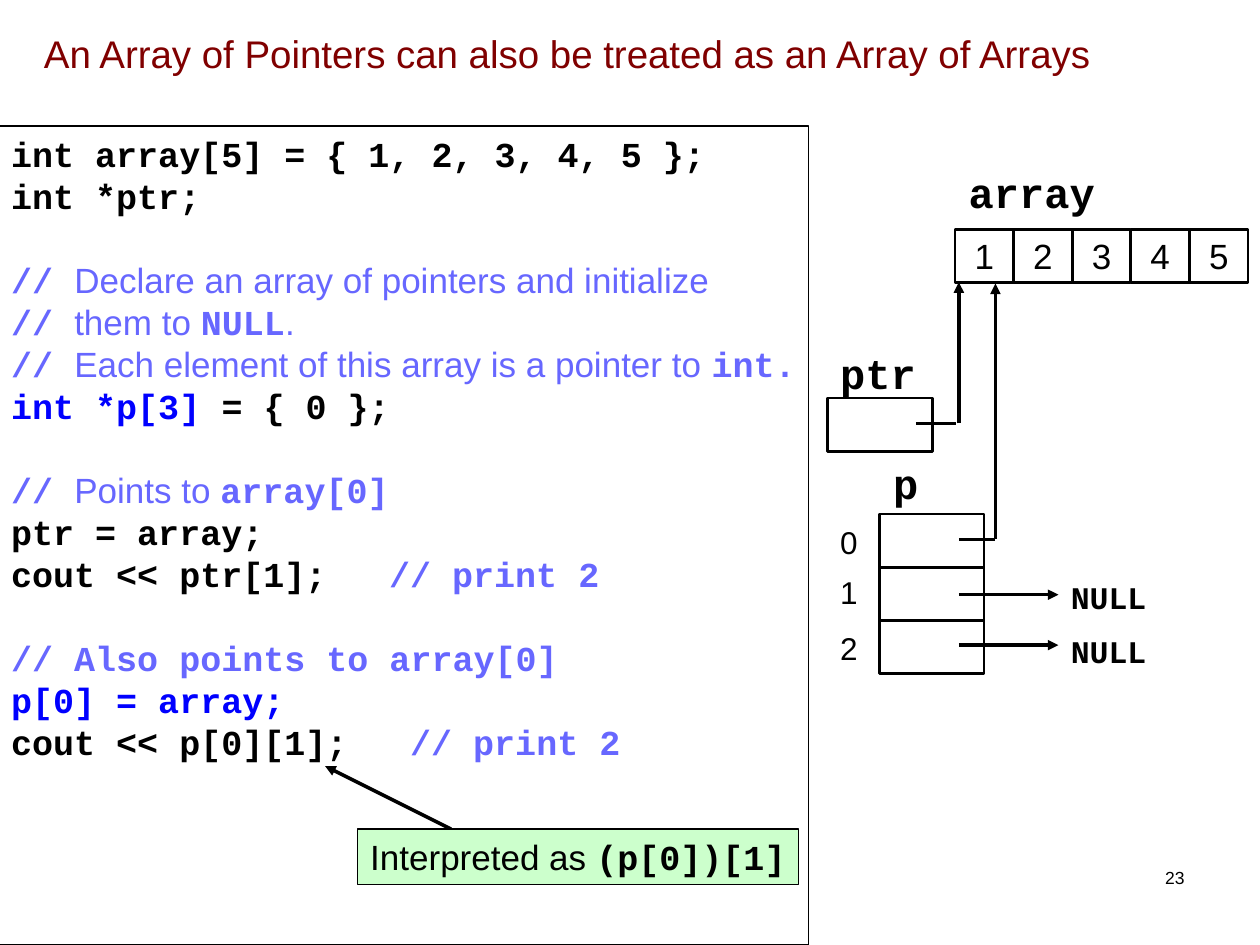
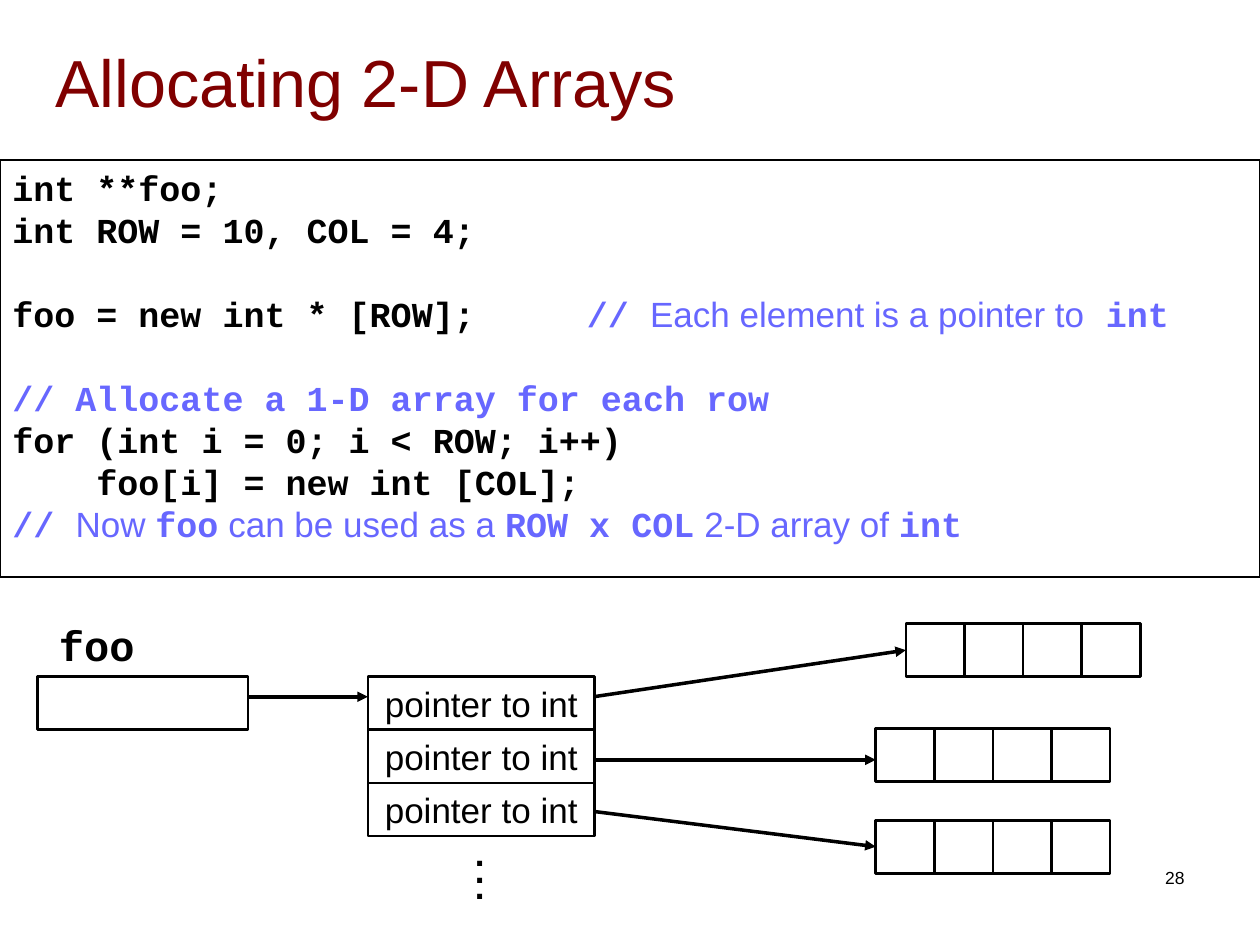
from dataclasses import dataclass
from typing import Optional

from lxml import etree
from pptx import Presentation
from pptx import util as u
from pptx.dml.color import RGBColor
from pptx.enum import shapes, text
from pptx.oxml.ns import qn

PRS_W, PRS_H = u.Inches(10), u.Inches(7.5)
COL, ROW = PRS_W / 100, PRS_H / 75
COLORS = {"ink": "000000", "title": "800000", "comment": "6767FF",
          "key": "0000FF", "paper": "FFFFFF", "note": "CCFFCC"}
SANS, MONO = "Arial", "Courier New"
CELL_W, CELL_H = 4.65, 4.22

STYLES = {
    "code": dict(font=MONO, bold=True),
    "key": dict(font=MONO, bold=True, color="key"),
    "rem": dict(font=MONO, bold=True, color="comment"),
    "prose": dict(color="comment"),
    "plain": dict(),
}


@dataclass
class Box:
    x: float
    y: float
    w: float
    h: float


@dataclass
class Line:
    runs: list
    gap: bool = False
    tab: Optional[float] = None
    indent: float = 0


@dataclass
class Label:
    words: str
    box: Box
    size: int = 24
    font: str = MONO
    bold: bool = True


@dataclass
class Link:
    x1: float
    y1: float
    x2: float
    y2: float
    head: bool = True


def rgb(name: str) -> RGBColor:
    return RGBColor.from_string(COLORS[name])


def place(b: Box) -> list:
    return [round(v) for v in (b.x * COL, b.y * ROW, b.w * COL, b.h * ROW)]


def add_text(p, words: str, *, size=20, font=SANS, bold=False, color="ink"):
    r = p.add_run()
    r.text = words
    r.font.size, r.font.name, r.font.bold = u.Pt(size), font, bold
    r.font.color.rgb = rgb(color)


def add_box(s, b: Box, *, fill=None, weight=1.5):
    sp = s.shapes.add_shape(shapes.MSO_SHAPE.RECTANGLE, *place(b))
    sp.shadow.inherit = False
    if fill:
        sp.fill.solid()
        sp.fill.fore_color.rgb = rgb(fill)
    else:
        sp.fill.background()
    sp.line.color.rgb, sp.line.width = rgb("ink"), u.Pt(weight)
    return sp


def add_cells(s, x: float, y: float, words: list, *, w=CELL_W, down=False):
    for i, word in enumerate(words):
        dx, dy = (0, i * CELL_H) if down else (i * w, 0)
        tf = add_box(s, Box(x + dx, y + dy, w, CELL_H)).text_frame
        tf.vertical_anchor = text.MSO_ANCHOR.MIDDLE
        if word:
            tf.paragraphs[0].alignment = text.PP_ALIGN.CENTER
            add_text(tf.paragraphs[0], word)


def add_label(s, label: Label):
    tf = s.shapes.add_textbox(*place(label.box)).text_frame
    tf.word_wrap = False
    add_text(tf.paragraphs[0], label.words, size=label.size,
             font=label.font, bold=label.bold)


def add_link(s, k: Link):
    cn = s.shapes.add_connector(
        shapes.MSO_CONNECTOR.STRAIGHT, round(k.x1 * COL), round(k.y1 * ROW),
        round(k.x2 * COL), round(k.y2 * ROW))
    cn.line.color.rgb, cn.line.width = rgb("ink"), u.Pt(2)
    if k.head:
        etree.SubElement(cn.line._get_or_add_ln(), qn("a:tailEnd"), type="triangle")
    etree.SubElement(cn._element.spPr, qn("a:effectLst"))


def add_code(s, b: Box, lines: list):
    tf = add_box(s, b, fill="paper", weight=0.75).text_frame
    tf.word_wrap = True
    tf.vertical_anchor = text.MSO_ANCHOR.TOP
    for i, line in enumerate(lines):
        p = tf.add_paragraph() if i else tf.paragraphs[0]
        p.alignment = text.PP_ALIGN.LEFT
        p.line_spacing = u.Pt(24)
        p.space_before = u.Pt(24 if line.gap else 0)
        pPr = p._p.get_or_add_pPr()
        pPr.set("marL", str(round(line.indent * COL)))
        if line.tab:
            tabs = etree.SubElement(pPr, qn("a:tabLst"))
            etree.SubElement(tabs, qn("a:tab"), pos=str(round(line.tab * COL)), algn="l")
        for style, words in line.runs:
            add_text(p, words, **STYLES[style])


def add_page(prs, title: str, b: Box, size: int, number: int):
    s = prs.slides.add_slide(prs.slide_layouts[6])
    tf = s.shapes.add_textbox(*place(b)).text_frame
    tf.word_wrap = True
    tf.vertical_anchor = text.MSO_ANCHOR.MIDDLE
    add_text(tf.paragraphs[0], title, size=size, color="title")
    tf = s.shapes.add_textbox(*place(Box(71.7, 68.3, 23.3, 5))).text_frame
    tf.word_wrap = True
    tf.paragraphs[0].alignment = text.PP_ALIGN.RIGHT
    add_text(tf.paragraphs[0], str(number), size=10)
    return s


def pointer_slide(prs):
    s = add_page(prs, "An Array of Pointers can also be treated as an Array of Arrays",
                 Box(2.5, 1.8, 96.5, 4.9), 22, 23)
    add_code(s, Box(-0.1, 10, 64.3, 65), [
        Line([("code", "int array[5] = { 1, 2, 3, 4, 5 };")]),
        Line([("code", "int *ptr;")]),
        Line([("rem", "// "), ("prose", "Declare an array of pointers and initialize")], gap=True),
        Line([("rem", "// "), ("prose", "them to "), ("rem", "NULL"), ("prose", ".")]),
        Line([("rem", "// "), ("prose", "Each element of this array is a pointer to "),
              ("rem", "int.")]),
        Line([("key", "int *p[3]"), ("code", " = { 0 };")]),
        Line([("rem", "// "), ("prose", "Points to "), ("rem", "array[0]")], gap=True),
        Line([("code", "ptr = array;")]),
        Line([("code", "cout << ptr[1];\t"), ("rem", "// print 2")], tab=30),
        Line([("rem", "// Also points to array[0]")], gap=True),
        Line([("key", "p[0] = array;")]),
        Line([("code", "cout << p[0][1];\t"), ("rem", "// print 2")], tab=31.67),
    ])
    add_cells(s, 75.8, 18.2, list("12345"))
    add_cells(s, 65.7, 31.6, [""], w=8.3)
    add_cells(s, 69.8, 40.8, [""] * 3, w=8.3, down=True)
    for label in [Label("array", Box(75.9, 12.7, 12, 5)),
                  Label("ptr", Box(65.7, 27.1, 8, 5)),
                  Label("p", Box(69.9, 35.8, 4, 5))]:
        add_label(s, label)
    for i, y in enumerate((41, 45, 49.4)):
        add_label(s, Label(str(i), Box(65.7, y, 3.4, 4), 18, SANS, False))
    for y in (45.4, 49.7):
        add_label(s, Label("NULL", Box(84, y, 8, 4), 18))
    for link in [Link(79, 42.8, 79, 22.5), Link(76.1, 42.8, 79, 42.8, False),
                 Link(76.1, 47.2, 84, 47.2), Link(76.1, 51.2, 84, 51.2),
                 Link(76.1, 33.6, 76.1, 22.4), Link(72.7, 33.6, 75.9, 33.6, False),
                 Link(35.8, 65.8, 25.8, 60.8)]:
        add_link(s, link)
    tf = add_box(s, Box(28.4, 65.8, 35, 4.4), fill="note", weight=0.75).text_frame
    tf.word_wrap = False
    tf.vertical_anchor = text.MSO_ANCHOR.TOP
    p = tf.paragraphs[0]
    p.alignment = text.PP_ALIGN.LEFT
    add_text(p, "Interpreted as ")
    add_text(p, "(p[0])[1]", **STYLES["code"])


def allocation_slide(prs):
    s = add_page(prs, "Allocating 2-D Arrays", Box(3.4, 1.4, 93.7, 10.1), 38, 28)
    add_code(s, Box(0, 12.7, 100, 33.1), [
        Line([("code", "int **foo;")]),
        Line([("code", "int ROW = 10, COL = 4;")]),
        Line([("code", "foo = new int * [ROW];\t"), ("rem", "// "),
              ("prose", "Each element is a pointer to"), ("rem", " int")], gap=True, tab=45.6),
        Line([("rem", "// Allocate a 1-D array for each row")], gap=True),
        Line([("code", "for (int i = 0; i < ROW; i++)")]),
        Line([("code", "foo[i] = new int [COL];")], indent=6.67),
        Line([("rem", "// "), ("prose", "Now "), ("rem", "foo"),
              ("prose", " can be used as a "), ("rem", "ROW x COL"),
              ("prose", " 2-D array of "), ("rem", "int")]),
    ])
    add_label(s, Label("foo", Box(3.7, 48.7, 8, 5)))
    add_cells(s, 3, 53.7, [""], w=16.7)
    add_cells(s, 29.2, 53.7, ["pointer to int"] * 3, w=18, down=True)
    add_link(s, Link(19.7, 55.3, 29.2, 55.3))
    for x, y, start, end in [(71.9, 49.5, 55.3, 51.6), (69.5, 57.8, 60.3, 60.3),
                             (69.5, 65.1, 64.4, 67.2)]:
        add_cells(s, x, y, [""] * 4)
        add_link(s, Link(47.1, start, x, end))
    tf = s.shapes.add_textbox(*place(Box(36.7, 67.2, 2.7, 5))).text_frame
    tf.word_wrap = False
    for i in range(3):
        p = tf.add_paragraph() if i else tf.paragraphs[0]
        p.line_spacing = 0.4
        add_text(p, ".", bold=True)


def main():
    prs = Presentation()
    prs.slide_width, prs.slide_height = PRS_W, PRS_H
    pointer_slide(prs)
    allocation_slide(prs)
    prs.save("out.pptx")


if __name__ == "__main__":
    main()
